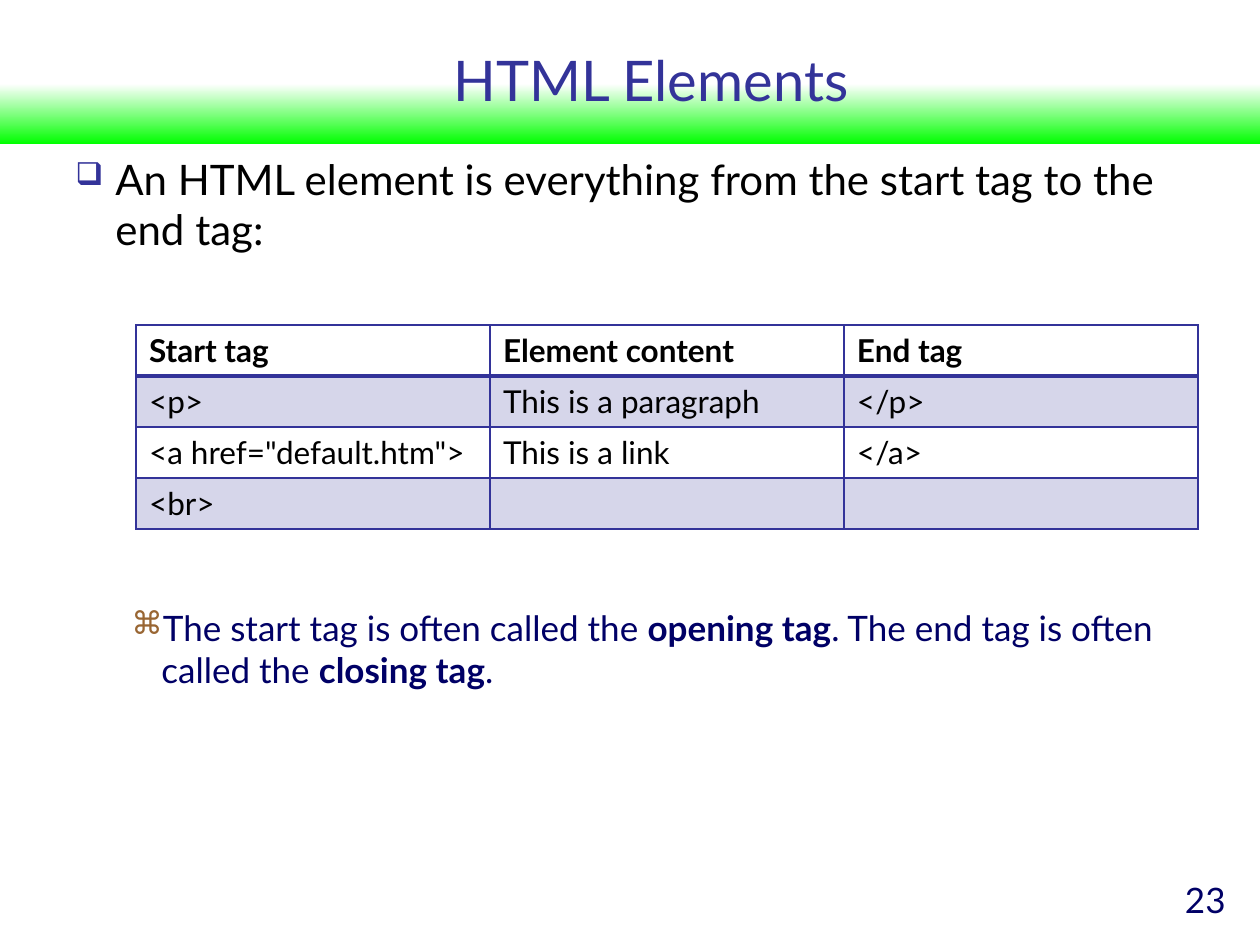
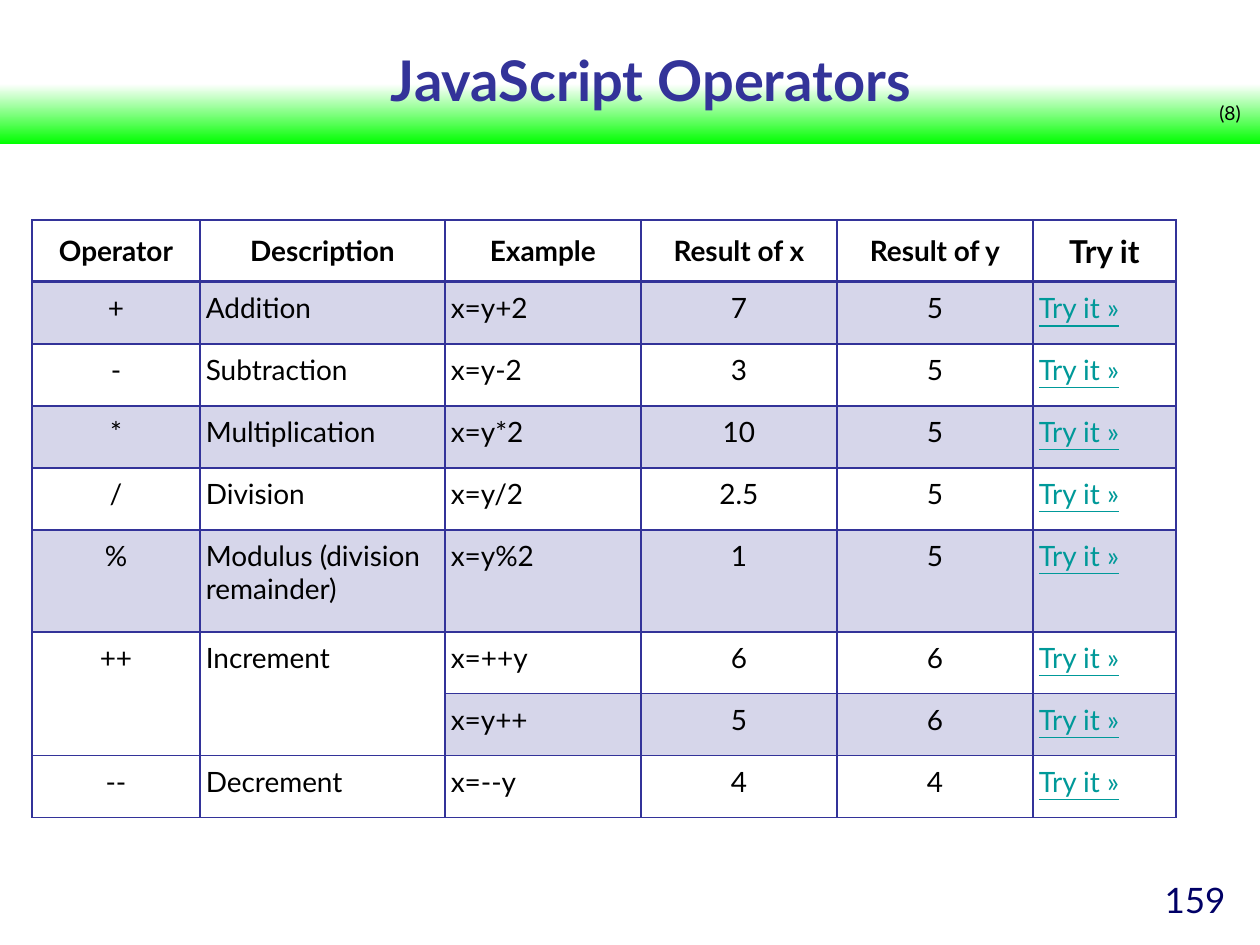
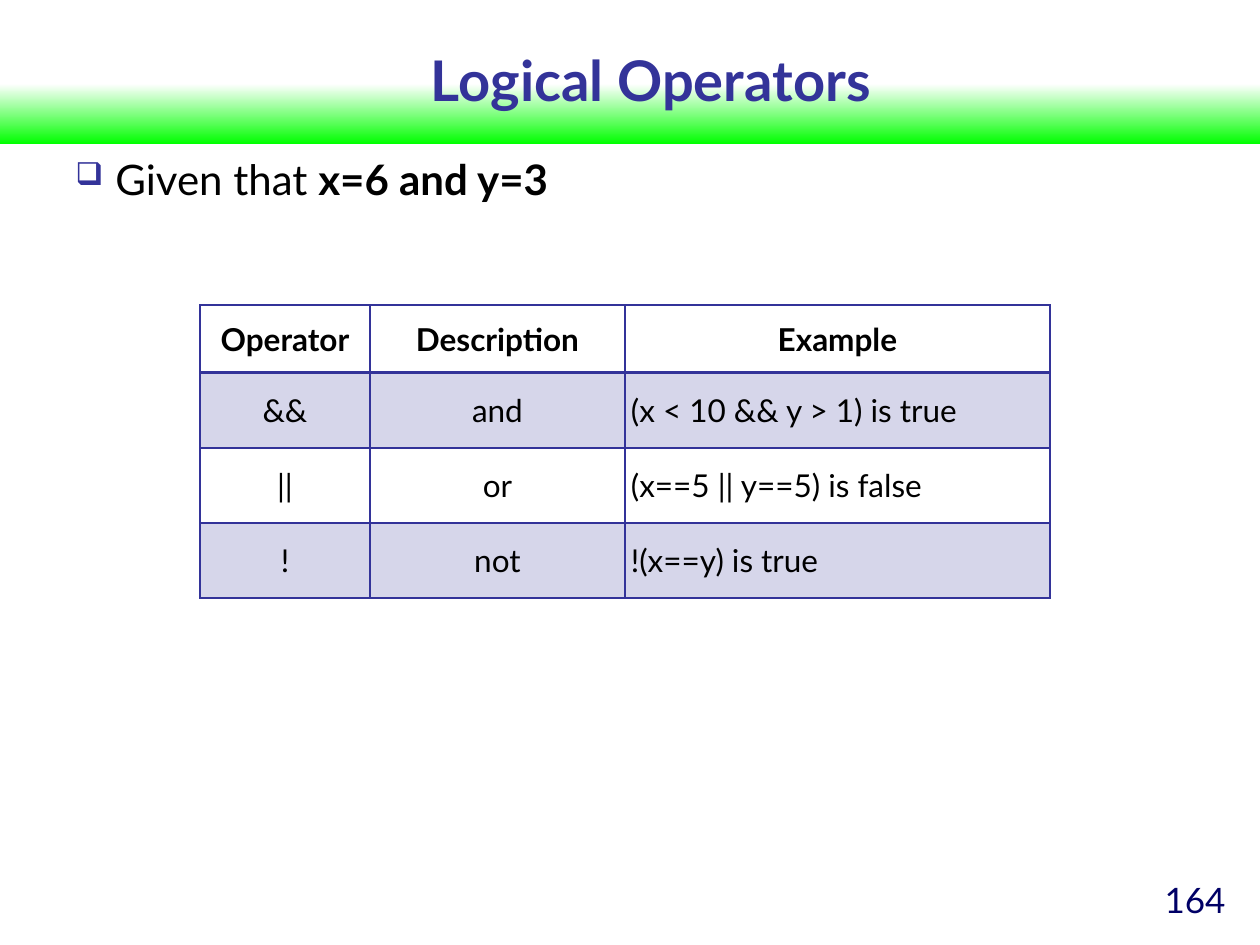
from dataclasses import dataclass, field

from lxml import etree
from pptx import Presentation
from pptx import slide as s
from pptx import table as t
from pptx import util as u
from pptx.dml.color import RGBColor
from pptx.enum import shapes, text
from pptx.oxml import ns

PX_PER_INCH = 126
ALIGN = {"l": text.PP_ALIGN.LEFT, "c": text.PP_ALIGN.CENTER, "r": text.PP_ALIGN.RIGHT}


@dataclass(frozen=True)
class Theme:
    """Colours, font and type sizes shared by the deck."""

    font: str = "Lato"
    indigo: str = "333399"
    navy: str = "000066"
    black: str = "000000"
    white: str = "FFFFFF"
    green: str = "01FF01"
    brown: str = "996633"
    teal: str = "009999"
    stripe_alpha: int = 20
    title: int = 32
    body: int = 24
    detail: int = 20
    cell: int = 18
    small_cell: int = 16
    counter: int = 11
    rule: int = 1
    header_rule: int = 2


THEME = Theme()


@dataclass(frozen=True)
class Span:
    """A run of text with one look."""

    words: str
    size: int
    color: str = THEME.black
    bold: bool = False
    underline: bool = False


@dataclass(frozen=True)
class Frame:
    """A rectangle in px."""

    left: int
    top: int
    width: int
    height: int

    def emu(self) -> tuple[int, ...]:
        """Return the rectangle in EMU."""
        return tuple(px(n) for n in (self.left, self.top, self.width, self.height))


@dataclass(frozen=True)
class Bullet:
    """A bullet sign with its indent in px and its size in percent."""

    sign: str
    color: str
    percent: int
    indent: int
    hanging: int


@dataclass(frozen=True)
class Insets:
    """Horizontal and vertical cell margins in px."""

    across: int
    down: int


ROOMY, HEADER, SNUG = Insets(13, 6), Insets(4, 4), Insets(6, 9)


@dataclass(frozen=True)
class Grid:
    """A table with one header row and striped body rows."""

    left: int
    top: int
    columns: list[int]
    heights: list[int]
    rows: list[list[str]]
    size: int
    header_align: str
    body_align: str
    header_insets: Insets = HEADER
    body_insets: Insets = SNUG
    header_middle: bool = True
    body_middle: bool = False
    merges: list[tuple[int, int, int, int]] = field(default_factory=list)
    link_column: int = -1


BAND = Frame(0, 84, 1260, 60)
TITLE = Frame(63, 21, 1176, 116)
BODY = Frame(63, 147, 1176, 130)
DETAIL = Frame(63, 600, 1176, 110)
COUNTER = Frame(1207, 95, 53, 37)
NUMBER = Frame(1102, 872, 136, 53)
SQUARE = Bullet("❑", THEME.indigo, 75, 40, 40)
LOOP = Bullet("⌘", THEME.brown, 90, 86, 30)

ELEMENTS = Grid(
    136, 325, [354] * 3, [51] * 4,
    [
        ["Start tag", "Element content", "End tag"],
        ["<p>", "This is a paragraph", "</p>"],
        ['<a href="default.htm">', "This is a link", "</a>"],
        ["<br>", "", ""],
    ],
    THEME.cell, "lll", "lll", ROOMY, ROOMY, header_middle=False,
)
TRY = "Try it »"
ARITHMETIC = Grid(
    32, 220, [168, 245, 196, 196, 196, 143], [62] * 5 + [102] + [62] * 3,
    [
        ["Operator", "Description", "Example", "Result of x", "Result of y", "Try it"],
        ["+", "Addition", "x=y+2", "7", "5", TRY],
        ["-", "Subtraction", "x=y-2", "3", "5", TRY],
        ["*", "Multiplication", "x=y*2", "10", "5", TRY],
        ["/", "Division", "x=y/2", "2.5", "5", TRY],
        ["%", "Modulus (division remainder)", "x=y%2", "1", "5", TRY],
        ["++", "Increment", "x=++y", "6", "6", TRY],
        ["", "", "x=y++", "5", "6", TRY],
        ["--", "Decrement", "x=--y", "4", "4", TRY],
    ],
    THEME.small_cell, "cccccc", "cllccl",
    merges=[(6, 0, 7, 0), (6, 1, 7, 1)], link_column=5,
)
LOGICAL = Grid(
    200, 305, [170, 255, 425], [68] + [75] * 3,
    [
        ["Operator", "Description", "Example"],
        ["&&", "and", "(x < 10 && y > 1) is true"],
        ["||", "or", "(x==5 || y==5) is false"],
        ["!", "not", "!(x==y) is true"],
    ],
    THEME.cell, "ccc", "ccl", body_middle=True,
)


def px(length: int) -> int:
    """Turn px into EMU."""
    return round(length * u.Inches(1) / PX_PER_INCH)


def add_element(parent: etree._Element, tag: str, **attributes: object) -> etree._Element:
    """Append a DrawingML element."""
    values = {name: str(value) for name, value in attributes.items()}
    return etree.SubElement(parent, ns.qn(f"a:{tag}"), values)


def write_spans(para, spans: list[Span], align: str = "l") -> None:
    """Write styled runs into a paragraph."""
    para.alignment = ALIGN[align]
    for span in spans:
        run = para.add_run()
        run.text = span.words
        run.font.name = THEME.font
        run.font.size = u.Pt(span.size)
        run.font.bold = span.bold
        run.font.underline = span.underline
        run.font.color.rgb = RGBColor.from_string(span.color)


def add_bullet(para, bullet: Bullet) -> None:
    """Give a paragraph a coloured bullet and a hanging indent."""
    properties = para._p.get_or_add_pPr()
    properties.set("marL", str(px(bullet.indent)))
    properties.set("indent", str(-px(bullet.hanging)))
    add_element(add_element(properties, "buClr"), "srgbClr", val=bullet.color)
    add_element(properties, "buSzPct", val=bullet.percent * 1000)
    add_element(properties, "buChar", char=bullet.sign)


def add_text(page: s.Slide, frame: Frame, spans: list[Span], align: str = "l",
             middle: bool = False, bullet: Bullet | None = None, wrap: bool = True) -> None:
    """Add a text box of one paragraph."""
    box = page.shapes.add_textbox(*frame.emu()).text_frame
    box.word_wrap = wrap
    box.vertical_anchor = text.MSO_ANCHOR.MIDDLE if middle else text.MSO_ANCHOR.TOP
    para = box.paragraphs[0]
    if bullet:
        add_bullet(para, bullet)
    write_spans(para, spans, align)


def add_band(page: s.Slide) -> None:
    """Draw the gradient band behind the title."""
    band = page.shapes.add_shape(shapes.MSO_SHAPE.RECTANGLE, *BAND.emu())
    band.shadow.inherit = False
    band.line.fill.background()
    band.fill.gradient()
    band.fill.gradient_angle = 270
    for stop, position, color in zip(band.fill.gradient_stops, (0, 1), (THEME.white, THEME.green)):
        stop.position = position
        stop.color.rgb = RGBColor.from_string(color)


def add_page(deck, title: str, number: int, bold: bool = True) -> s.Slide:
    """Add a slide with its band, title and number."""
    page = deck.slides.add_slide(deck.slide_layouts[6])
    add_band(page)
    add_text(page, TITLE, [Span(title, THEME.title, THEME.indigo, bold)], "c", middle=True)
    add_text(page, NUMBER, [Span(str(number), THEME.detail, THEME.navy)], "r")
    return page


def style_cell(cell: t._Cell, row: int) -> None:
    """Set the borders and the stripe of a cell."""
    properties = cell._tc.get_or_add_tcPr()
    widths = {
        "lnL": THEME.rule,
        "lnR": THEME.rule,
        "lnT": THEME.header_rule if row == 1 else THEME.rule,
        "lnB": THEME.header_rule if row == 0 else THEME.rule,
    }
    for side, width in widths.items():
        line = add_element(properties, side, w=u.Pt(width))
        add_element(add_element(line, "solidFill"), "srgbClr", val=THEME.indigo)
    if row % 2:
        fill = add_element(properties, "solidFill")
        color = add_element(fill, "srgbClr", val=THEME.indigo)
        add_element(color, "alpha", val=THEME.stripe_alpha * 1000)
    else:
        cell.fill.background()


def fill_cell(cell: t._Cell, grid: Grid, row: int, column: int) -> None:
    """Write and place the text of a cell."""
    header, linked = row == 0, column == grid.link_column
    insets = grid.header_insets if header else grid.body_insets
    size = grid.size
    if header and linked:
        insets, size = ROOMY, THEME.cell
    cell.margin_left = cell.margin_right = px(insets.across)
    cell.margin_top = cell.margin_bottom = px(insets.down)
    middle = grid.header_middle if header else grid.body_middle
    cell.vertical_anchor = text.MSO_ANCHOR.MIDDLE if middle else text.MSO_ANCHOR.TOP
    link = linked and not header
    words = grid.rows[row][column]
    spans = [Span(words, size, THEME.teal if link else THEME.black, header, link)] if words else []
    align = grid.header_align if header else grid.body_align
    write_spans(cell.text_frame.paragraphs[0], spans, align[column])


def add_grid(page: s.Slide, grid: Grid) -> None:
    """Add a striped table."""
    frame = Frame(grid.left, grid.top, sum(grid.columns), sum(grid.heights))
    table = page.shapes.add_table(len(grid.heights), len(grid.columns), *frame.emu()).table
    table.first_row = table.horz_banding = False
    for column, width in zip(table.columns, grid.columns):
        column.width = px(width)
    for row, height in zip(table.rows, grid.heights):
        row.height = px(height)
    for top, left, bottom, right in grid.merges:
        table.cell(top, left).merge(table.cell(bottom, right))
    for row in range(len(grid.heights)):
        for column in range(len(grid.columns)):
            cell = table.cell(row, column)
            if not cell.is_spanned:
                style_cell(cell, row)
                fill_cell(cell, grid, row, column)


def add_elements_page(deck) -> None:
    """Add the slide on HTML elements."""
    page = add_page(deck, "HTML Elements", 23, bold=False)
    lead = "An HTML element is everything from the start tag to the end tag:"
    add_text(page, BODY, [Span(lead, THEME.body)], bullet=SQUARE)
    phrases = ["The start tag is often called the ", "opening tag",
               ". The end tag is often called the ", "closing tag", "."]
    spans = [Span(words, THEME.detail, THEME.navy, bool(i % 2)) for i, words in enumerate(phrases)]
    add_text(page, DETAIL, spans, bullet=LOOP)
    add_grid(page, ELEMENTS)


def add_arithmetic_page(deck) -> None:
    """Add the slide on arithmetic operators."""
    page = add_page(deck, "JavaScript Operators", 159)
    add_grid(page, ARITHMETIC)
    add_text(page, COUNTER, [Span("(8)", THEME.counter)], wrap=False)


def add_logical_page(deck) -> None:
    """Add the slide on logical operators."""
    page = add_page(deck, "Logical Operators", 164)
    spans = [Span("Given that ", THEME.body), Span("x=6 and y=3", THEME.body, bold=True)]
    add_text(page, BODY, spans, bullet=SQUARE)
    add_grid(page, LOGICAL)


def main() -> None:
    """Build and save the deck."""
    deck = Presentation()
    deck.slide_width, deck.slide_height = px(1260), px(945)
    add_elements_page(deck)
    add_arithmetic_page(deck)
    add_logical_page(deck)
    deck.save("out.pptx")


if __name__ == "__main__":
    main()
